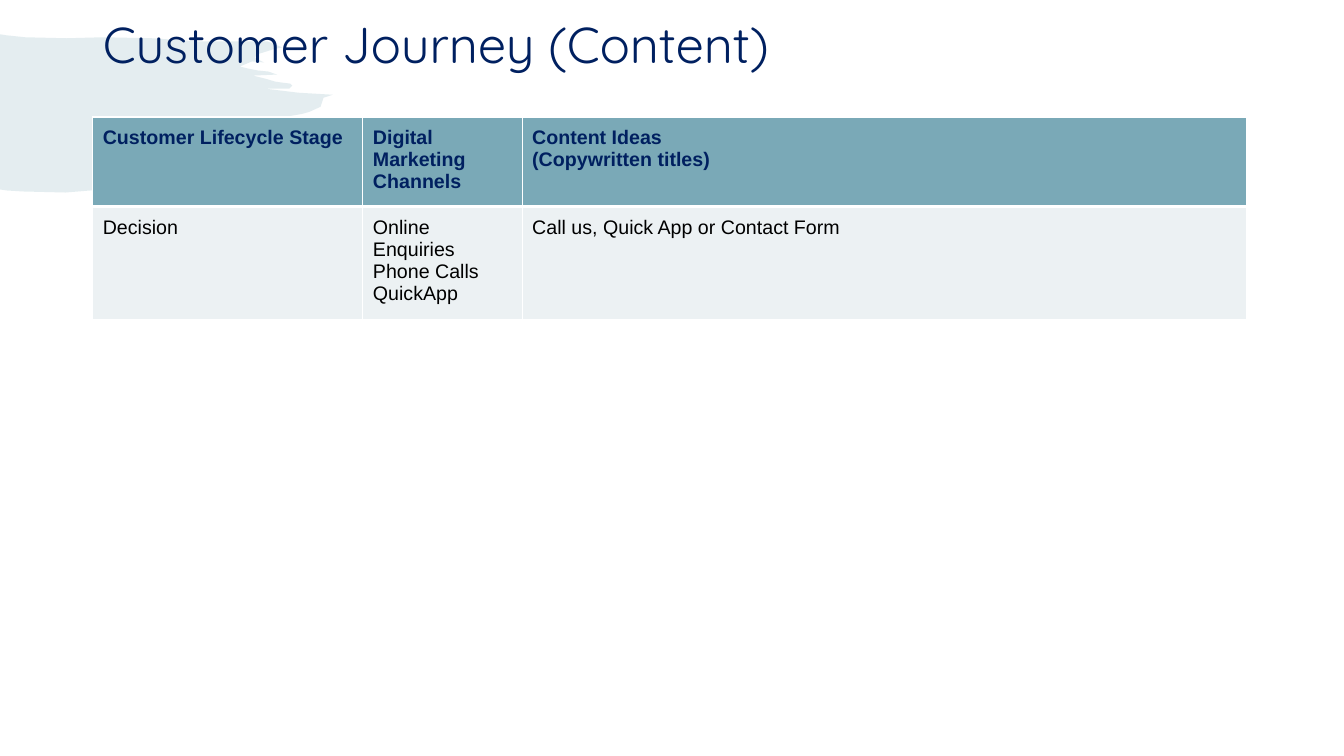
from dataclasses import dataclass

from lxml.etree import SubElement
from pptx import Presentation
from pptx.dml.color import RGBColor
from pptx.dml.fill import FillFormat
from pptx.enum.text import MSO_ANCHOR, MSO_AUTO_SIZE, PP_ALIGN
from pptx.oxml import parse_xml
from pptx.oxml.ns import nsdecls, qn
from pptx.slide import Slide
from pptx.table import _Cell
from pptx.util import Pt

NAVY, TEAL, PALE, BLACK, WHITE = "002060", "7AA9B7", "ECF1F3", "000000", "FFFFFF"
TABLE_LEFT, TABLE_TOP = 66.24, 83.52
COLUMN_WIDTHS = (192.96, 113.76, 517.68)
CELL_MARGIN = 7.2

# Outline of the brush stroke, in units of 0.72 pt
BRUSH_UNIT = 0.72
BRUSH_OUTLINE = (
    (0, 34), (6, 35), (25, 37), (66, 38), (102, 37), (151, 38), (194, 41),
    (248, 41), (265, 41), (280, 47), (271, 49), (255, 54), (253, 57), (256, 59),
    (262, 62), (250, 61), (238, 66), (246, 68), (256, 70), (266, 71), (275, 74),
    (251, 75), (263, 78), (273, 81), (280, 82), (288, 83), (290, 85), (287, 88),
    (284, 88), (263, 88), (296, 92), (330, 94), (321, 97), (318, 106), (307, 111),
    (300, 113), (283, 116), (280, 120), (278, 125), (274, 128), (308, 128),
    (269, 138), (273, 142), (252, 148), (263, 148), (235, 160), (197, 172),
    (102, 188), (65, 191), (23, 190), (7, 189), (0, 188),
)


@dataclass(frozen=True)
class TableRow:
    height: float
    fill: str
    color: str
    bold: bool
    bottom_border: float
    cells: tuple[str, ...]


ROWS = (
    TableRow(64.08, TEAL, NAVY, True, 3, (
        "Customer Lifecycle Stage",
        "Digital Marketing Channels",
        "Content Ideas\n(Copywritten titles)",
    )),
    TableRow(80.64, PALE, BLACK, False, 1, (
        "Decision",
        "Online Enquiries\nPhone Calls\nQuickApp",
        "Call us, Quick App or Contact Form",
    )),
)


def set_fill(fill: FillFormat, color: str) -> None:
    fill.solid()
    fill.fore_color.rgb = RGBColor.from_string(color)


def add_brush(slide: Slide) -> None:
    builder = slide.shapes.build_freeform(*BRUSH_OUTLINE[0], scale=Pt(BRUSH_UNIT))
    builder.add_line_segments(BRUSH_OUTLINE[1:], close=True)
    brush = builder.convert_to_shape()
    brush.shadow.inherit = False
    brush.line.fill.background()
    set_fill(brush.fill, TEAL)
    color = brush.element.spPr.find(qn("a:solidFill"))[0]
    SubElement(color, qn("a:alpha"), val="20000")
    # Send behind the title
    slide.shapes.element.insert(2, brush.element)


def format_title(slide: Slide) -> None:
    title = slide.shapes.title
    title.left, title.top, title.width, title.height = (
        Pt(value) for value in (TABLE_LEFT, 10.8, 720, 46.08)
    )
    frame = title.text_frame
    frame.text = "Customer Journey (Content)"
    frame.vertical_anchor = MSO_ANCHOR.MIDDLE
    frame.auto_size = MSO_AUTO_SIZE.NONE
    para = frame.paragraphs[0]
    para.alignment = PP_ALIGN.LEFT
    para.line_spacing = 0.9
    para.font.name = "Quicksand"
    para.font.size = Pt(36)
    para.font.color.rgb = RGBColor.from_string(NAVY)


def set_borders(cell: _Cell, bottom: float) -> None:
    properties = cell._tc.get_or_add_tcPr()
    widths = {"lnL": 1, "lnR": 1, "lnT": 1, "lnB": bottom}
    for index, (side, width) in enumerate(widths.items()):
        border = parse_xml(
            f'<a:{side} {nsdecls("a")} w="{Pt(width)}"><a:solidFill>'
            f'<a:srgbClr val="{WHITE}"/></a:solidFill></a:{side}>'
        )
        properties.insert(index, border)


def fill_cell(cell: _Cell, text: str, row: TableRow) -> None:
    cell.text = text
    cell.margin_left = cell.margin_right = Pt(CELL_MARGIN)
    cell.margin_top = cell.margin_bottom = Pt(CELL_MARGIN)
    set_fill(cell.fill, row.fill)
    set_borders(cell, row.bottom_border)
    for para in cell.text_frame.paragraphs:
        para.font.name = "Arial"
        para.font.size = Pt(14)
        para.font.bold = row.bold
        para.font.color.rgb = RGBColor.from_string(row.color)


def add_journey_table(slide: Slide) -> None:
    table = slide.shapes.add_table(
        len(ROWS), len(COLUMN_WIDTHS), Pt(TABLE_LEFT), Pt(TABLE_TOP),
        Pt(sum(COLUMN_WIDTHS)), Pt(sum(row.height for row in ROWS)),
    ).table
    table.horz_banding = False
    for column, width in zip(table.columns, COLUMN_WIDTHS):
        column.width = Pt(width)
    for table_row, row in zip(table.rows, ROWS):
        table_row.height = Pt(row.height)
        for cell, text in zip(table_row.cells, row.cells):
            fill_cell(cell, text, row)


def main() -> None:
    deck = Presentation()
    deck.slide_width, deck.slide_height = Pt(960), Pt(540)
    page = deck.slides.add_slide(deck.slide_layouts.get_by_name("Title Only"))
    set_fill(page.background.fill, WHITE)
    add_brush(page)
    format_title(page)
    add_journey_table(page)
    deck.save("out.pptx")


if __name__ == "__main__":
    main()
